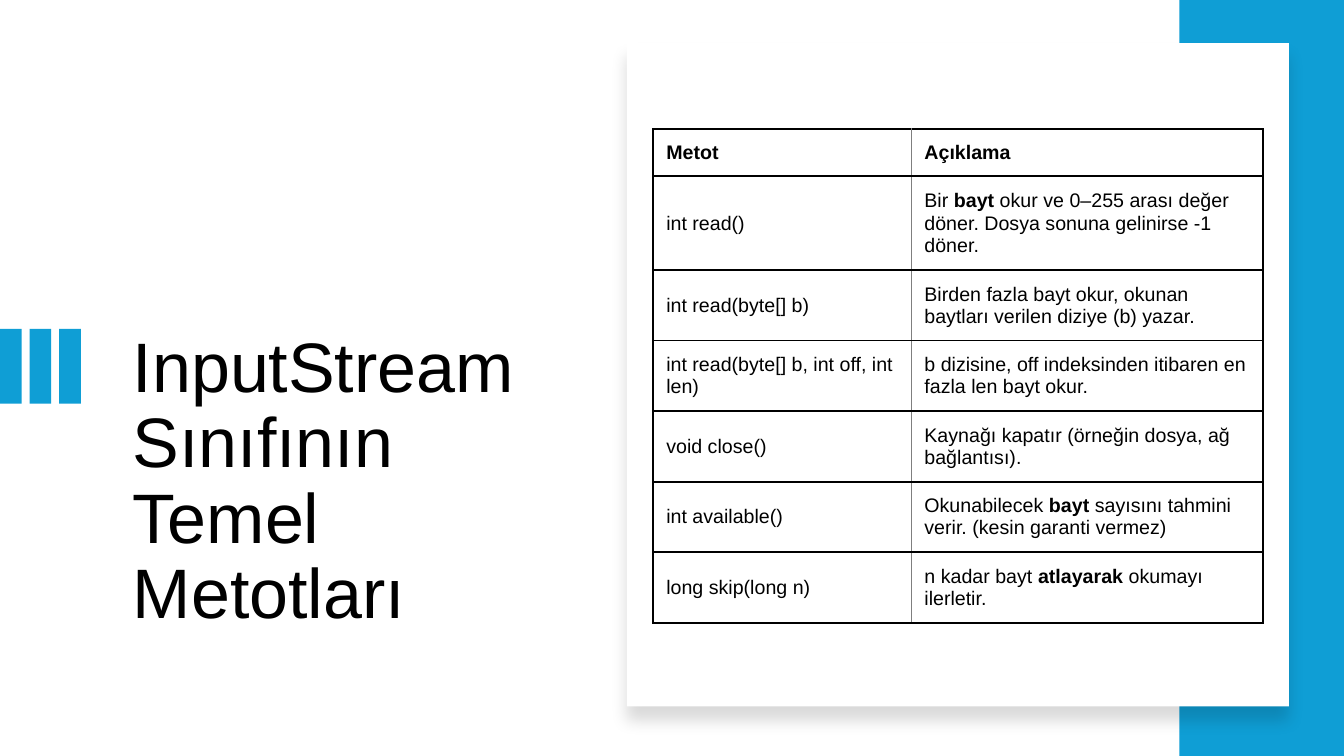
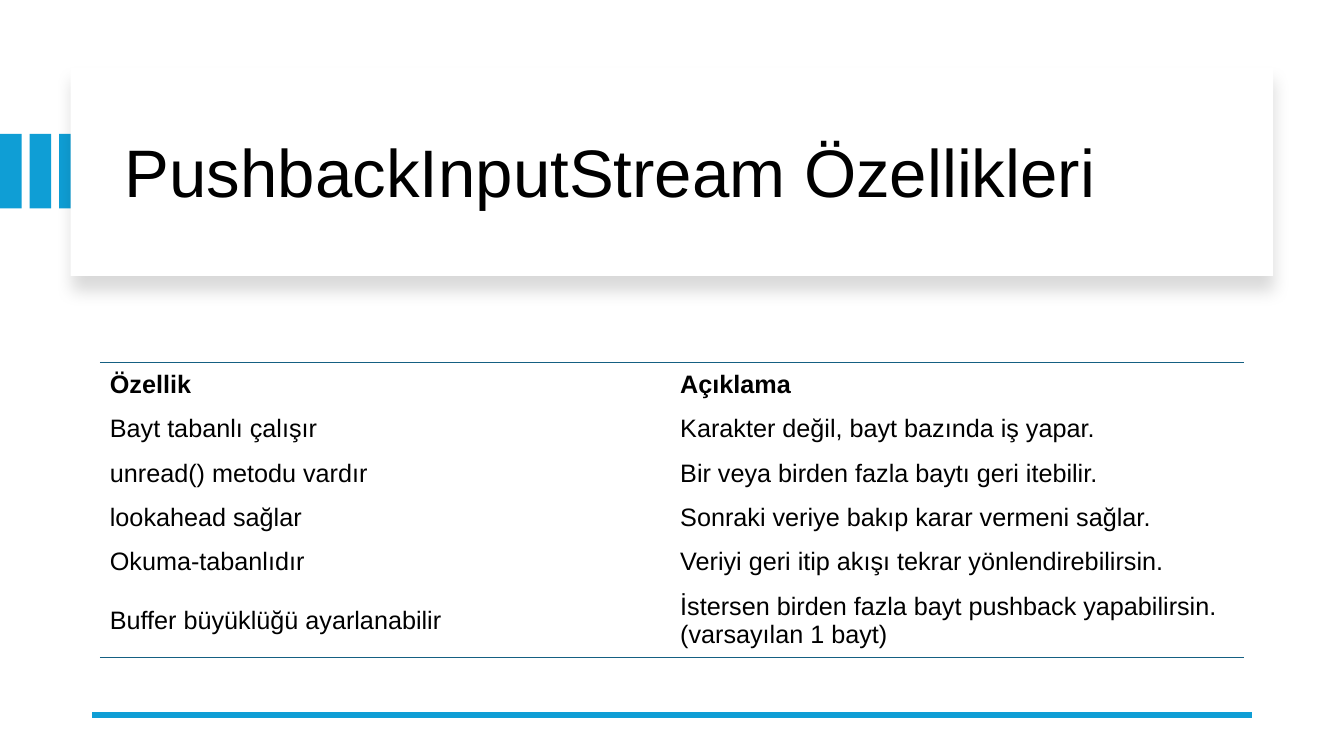
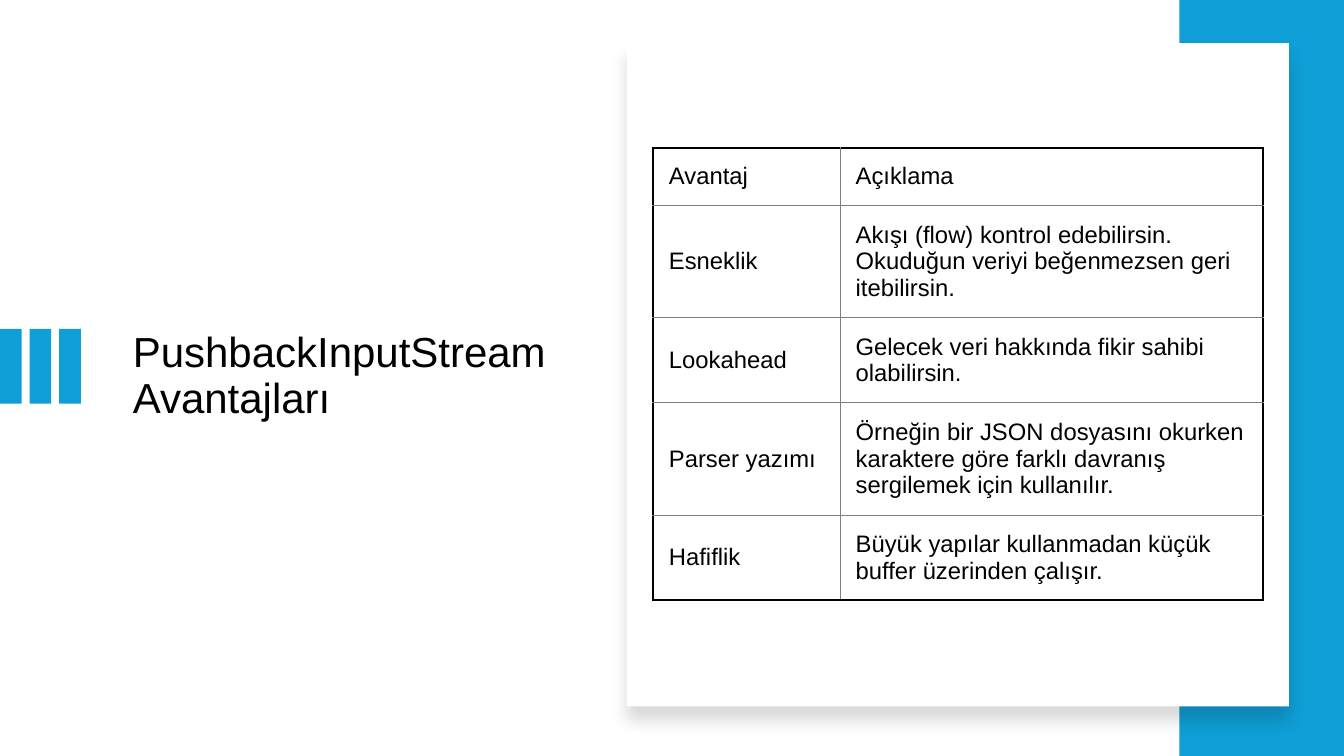
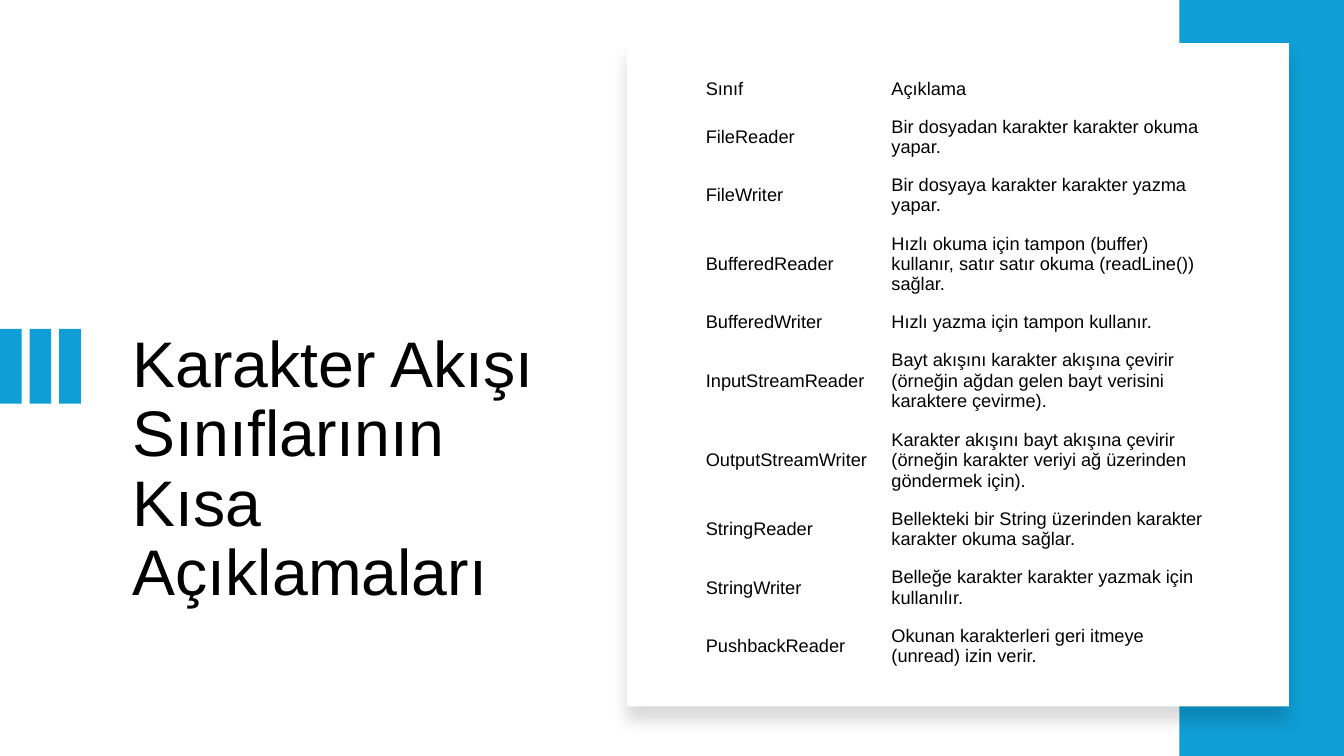
"""Builds four slides on Java byte and character stream classes."""
from dataclasses import dataclass
from typing import Optional

from lxml import etree
from pptx import Presentation
from pptx.dml.color import RGBColor
from pptx.enum import shapes, text
from pptx.oxml import ns
from pptx.util import Pt

PLAIN_TABLE = "{2D5ABB26-0587-4C30-8999-92F81FD0307C}"


@dataclass(frozen=True)
class Theme:
    font: str = "Arial"
    accent: str = "0F9ED5"
    ink: str = "000000"
    paper: str = "FFFFFF"
    rule: str = "156082"
    hairline: str = "7F7F7F"
    title_spacing: float = 0.9
    title_wide: int = 48
    title_large: int = 50
    title_medium: int = 46
    title_small: int = 30
    cell_methods: int = 14
    cell_features: int = 18
    cell_benefits: int = 17
    cell_classes: int = 13


THEME = Theme()


@dataclass(frozen=True)
class Line:
    color: str
    width: float


@dataclass(frozen=True)
class Grid:
    ends: Optional[Line] = None
    sides: Optional[Line] = None
    rows: Optional[Line] = None
    columns: Optional[Line] = None


@dataclass(frozen=True)
class TableStyle:
    size: int
    margins: tuple
    row_padding: float
    line_height: float
    grid: Grid = Grid()
    fill: Optional[str] = None
    bold_header: bool = False


FRAME = Line(THEME.ink, 1.5)
HAIRLINE = Line(THEME.hairline, 0.75)
METHODS = TableStyle(THEME.cell_methods, (9.3, 7, 7, 7), 17.4, 16.5,
                     Grid(FRAME, FRAME, FRAME, HAIRLINE), THEME.paper, True)
FEATURES = TableStyle(THEME.cell_features, (7.2, 3.6, 7.2, 3.6), 10.8, 20.9,
                      Grid(ends=Line(THEME.rule, 1)), bold_header=True)
BENEFITS = TableStyle(THEME.cell_benefits, (11.2, 8.4, 8.4, 8.4), 21, 19.8,
                      Grid(FRAME, FRAME, HAIRLINE, HAIRLINE), THEME.paper)
CLASSES = TableStyle(THEME.cell_classes, (5.2, 2.6, 5.2, 5.2), 10.8, 15.4)


class Deck:
    """Holds the theme and the current page, and draws each kind of element."""

    def __init__(self, theme):
        self.theme = theme
        self.show = Presentation()
        self.show.slide_width, self.show.slide_height = Pt(960), Pt(540)
        self.page = None

    def new_page(self):
        self.page = self.show.slides.add_slide(self.show.slide_layouts[6])

    def rectangle(self, left, top, width, height, color):
        box = self.page.shapes.add_shape(
            shapes.MSO_SHAPE.RECTANGLE, Pt(left), Pt(top), Pt(width), Pt(height))
        box.shadow.inherit = False
        box.fill.solid()
        box.fill.fore_color.rgb = RGBColor.from_string(color)
        box.line.fill.background()
        return box

    def bars(self, top):
        for index in range(3):
            self.rectangle(21.1 * index, top, 15.5, 53.3, self.theme.accent)

    def card(self, left, top, width, height):
        box = self.rectangle(left, top, width, height, self.theme.paper)
        effects = box._element.spPr.find(ns.qn("a:effectLst"))
        shadow = etree.SubElement(
            effects, ns.qn("a:outerShdw"), blurRad=str(Pt(11)), dist=str(Pt(10)),
            dir="5400000", algn="t", rotWithShape="0")
        color = etree.SubElement(shadow, ns.qn("a:srgbClr"), val=self.theme.ink)
        etree.SubElement(color, ns.qn("a:alpha"), val="15000")

    def title(self, words, size, left, top, width, height,
              anchor=text.MSO_ANCHOR.TOP):
        box = self.page.shapes.add_textbox(Pt(left), Pt(top), Pt(width), Pt(height))
        frame = box.text_frame
        frame.word_wrap = True
        frame.vertical_anchor = anchor
        para = frame.paragraphs[0]
        para.line_spacing = self.theme.title_spacing
        self.set_words(para, words, size)

    def set_words(self, para, words, size, bold=False):
        for index, part in enumerate(words.split("**")):
            span = para.add_run()
            span.text = part
            if index % 2:
                span.font.bold = True
        font = para.font
        font.name, font.size, font.bold = self.theme.font, Pt(size), bold
        font.color.rgb = RGBColor.from_string(self.theme.ink)

    def rule(self, left, top, right, line):
        rule = self.page.shapes.add_connector(
            shapes.MSO_CONNECTOR.STRAIGHT, Pt(left), Pt(top), Pt(right), Pt(top))
        rule.line.color.rgb = RGBColor.from_string(line.color)
        rule.line.width = Pt(line.width)
        etree.SubElement(rule._element.spPr, ns.qn("a:effectLst"))

    def border(self, cell, side, line):
        if line is None:
            return
        edge = etree.SubElement(cell._tc.get_or_add_tcPr(), ns.qn(f"a:ln{side}"),
                                w=str(Pt(line.width)))
        fill = etree.SubElement(edge, ns.qn("a:solidFill"))
        etree.SubElement(fill, ns.qn("a:srgbClr"), val=line.color)

    def table(self, left, top, widths, line_counts, rows, style):
        heights = [style.row_padding + count * style.line_height
                   for count in line_counts]
        shape = self.page.shapes.add_table(
            len(rows), len(widths), Pt(left), Pt(top), Pt(sum(widths)), Pt(sum(heights)))
        table = shape.table
        table.first_row = table.horz_banding = False
        table._tbl.tblPr.find(ns.qn("a:tableStyleId")).text = PLAIN_TABLE
        for column, width in zip(table.columns, widths):
            column.width = Pt(width)
        for row, height in zip(table.rows, heights):
            row.height = Pt(height)
        grid, last_row, last_column = style.grid, len(rows) - 1, len(widths) - 1
        for r, row in enumerate(rows):
            for c, words in enumerate(row):
                cell = table.cell(r, c)
                self.border(cell, "L", grid.columns if c else grid.sides)
                self.border(cell, "R", grid.columns if c < last_column else grid.sides)
                self.border(cell, "T", grid.rows if r else grid.ends)
                self.border(cell, "B", grid.rows if r < last_row else grid.ends)
                self.fill_cell(cell, words, style, style.bold_header and r == 0)

    def fill_cell(self, cell, words, style, bold):
        if style.fill:
            cell.fill.solid()
            cell.fill.fore_color.rgb = RGBColor.from_string(style.fill)
        else:
            cell.fill.background()
        (cell.margin_left, cell.margin_top,
         cell.margin_right, cell.margin_bottom) = map(Pt, style.margins)
        cell.vertical_anchor = text.MSO_ANCHOR.MIDDLE
        self.set_words(cell.text_frame.paragraphs[0], words, style.size, bold)

    def side_page(self, title, size):
        self.new_page()
        self.bars(235)
        self.rectangle(842.4, 0, 117.6, 540, self.theme.accent)
        self.card(447.8, 30.8, 473, 473.8)
        self.title(title, size, 87.8, 233.3, 317.5, 188)

    def wide_page(self, title, size):
        self.new_page()
        self.bars(95.6)
        self.card(50.4, 48.2, 859, 149)
        self.title(title, size, 82.1, 64, 801.4, 122.4, text.MSO_ANCHOR.MIDDLE)
        self.rule(65.9, 510.6, 894.2, Line(self.theme.accent, 4.5))


def main():
    deck = Deck(THEME)

    deck.side_page("InputStream Sınıfının Temel Metotları", THEME.title_large)
    deck.table(466.6, 92.1, (184.4, 251.2), (1, 3, 2, 2, 2, 2, 2), [
        ("Metot", "Açıklama"),
        ("int read()", "Bir **bayt** okur ve 0–255 arası değer döner. "
                       "Dosya sonuna gelinirse -1 döner."),
        ("int read(byte[] b)",
         "Birden fazla bayt okur, okunan baytları verilen diziye (b) yazar."),
        ("int read(byte[] b, int off, int len)",
         "b dizisine, off indeksinden itibaren en fazla len bayt okur."),
        ("void close()", "Kaynağı kapatır (örneğin dosya, ağ bağlantısı)."),
        ("int available()",
         "Okunabilecek **bayt** sayısını tahmini verir. (kesin garanti vermez)"),
        ("long skip(long n)", "n kadar bayt **atlayarak** okumayı ilerletir."),
    ], METHODS)

    deck.wide_page("PushbackInputStream Özellikleri", THEME.title_wide)
    deck.table(71.3, 258.9, (407.4, 409.6), (1, 1, 1, 1, 1, 2), [
        ("Özellik", "Açıklama"),
        ("Bayt tabanlı çalışır", "Karakter değil, bayt bazında iş yapar."),
        ("unread() metodu vardır", "Bir veya birden fazla baytı geri itebilir."),
        ("lookahead sağlar", "Sonraki veriye bakıp karar vermeni sağlar."),
        ("Okuma-tabanlıdır", "Veriyi geri itip akışı tekrar yönlendirebilirsin."),
        ("Buffer büyüklüğü ayarlanabilir",
         "İstersen birden fazla bayt pushback yapabilirsin. (varsayılan 1 bayt)"),
    ], FEATURES)

    deck.side_page("PushbackInputStream Avantajları", THEME.title_small)
    deck.table(466.6, 105.8, (133.4, 302.2), (1, 3, 2, 3, 2), [
        ("Avantaj", "Açıklama"),
        ("Esneklik", "Akışı (flow) kontrol edebilirsin. "
                     "Okuduğun veriyi beğenmezsen geri itebilirsin."),
        ("Lookahead", "Gelecek veri hakkında fikir sahibi olabilirsin."),
        ("Parser yazımı", "Örneğin bir JSON dosyasını okurken karaktere göre "
                          "farklı davranış sergilemek için kullanılır."),
        ("Hafiflik", "Büyük yapılar kullanmadan küçük buffer üzerinden çalışır."),
    ], BENEFITS)

    deck.side_page("Karakter Akışı Sınıflarının Kısa Açıklamaları", THEME.title_medium)
    deck.table(499, 52.2, (132.6, 237.6), (1, 2, 2, 3, 1, 3, 3, 2, 2, 2), [
        ("Sınıf", "Açıklama"),
        ("FileReader", "Bir dosyadan karakter karakter okuma yapar."),
        ("FileWriter", "Bir dosyaya karakter karakter yazma yapar."),
        ("BufferedReader", "Hızlı okuma için tampon (buffer) kullanır, "
                           "satır satır okuma (readLine()) sağlar."),
        ("BufferedWriter", "Hızlı yazma için tampon kullanır."),
        ("InputStreamReader", "Bayt akışını karakter akışına çevirir "
                              "(örneğin ağdan gelen bayt verisini karaktere çevirme)."),
        ("OutputStreamWriter", "Karakter akışını bayt akışına çevirir "
                               "(örneğin karakter veriyi ağ üzerinden göndermek için)."),
        ("StringReader",
         "Bellekteki bir String üzerinden karakter karakter okuma sağlar."),
        ("StringWriter", "Belleğe karakter karakter yazmak için kullanılır."),
        ("PushbackReader", "Okunan karakterleri geri itmeye (unread) izin verir."),
    ], CLASSES)

    deck.show.save("out.pptx")


if __name__ == "__main__":
    main()
